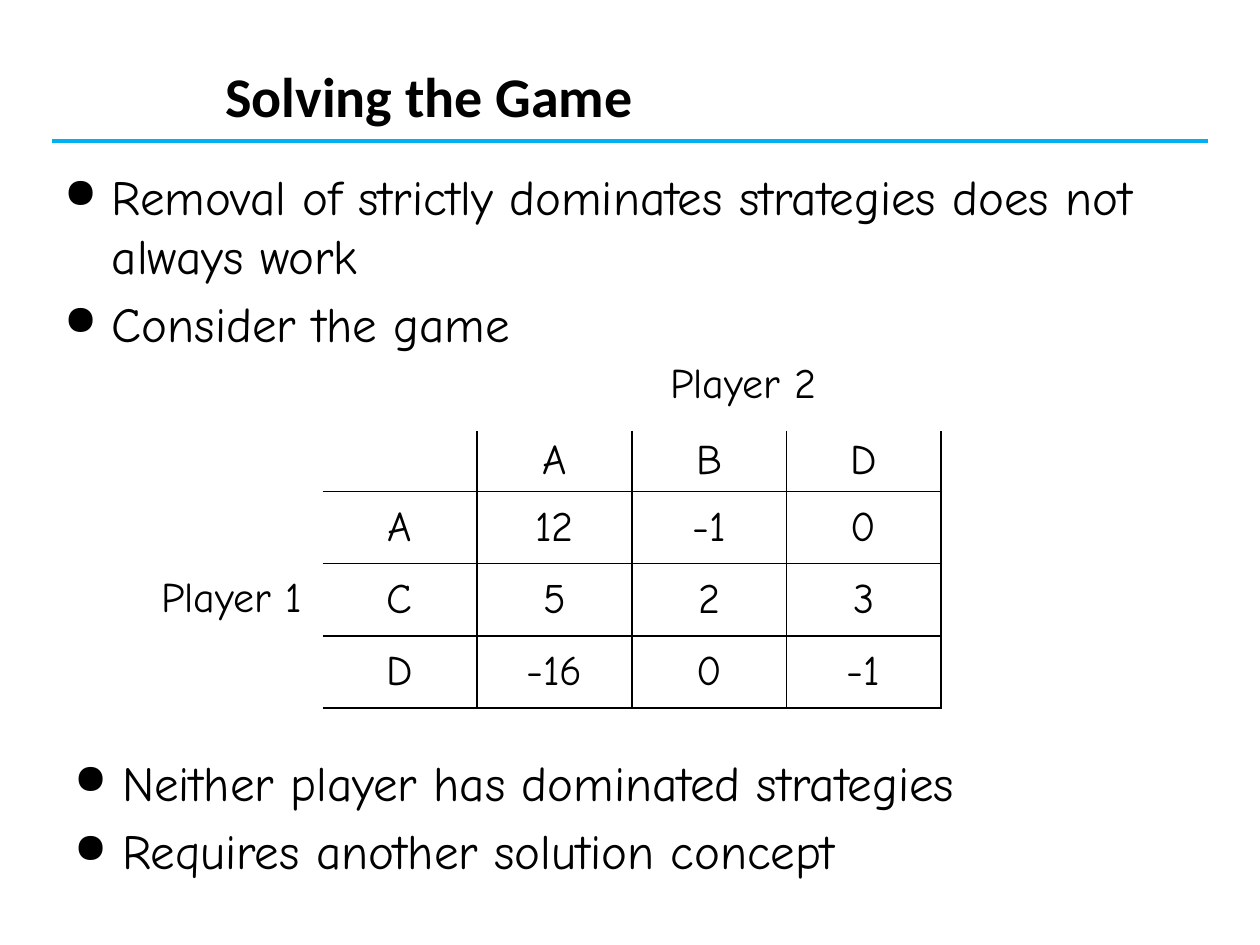
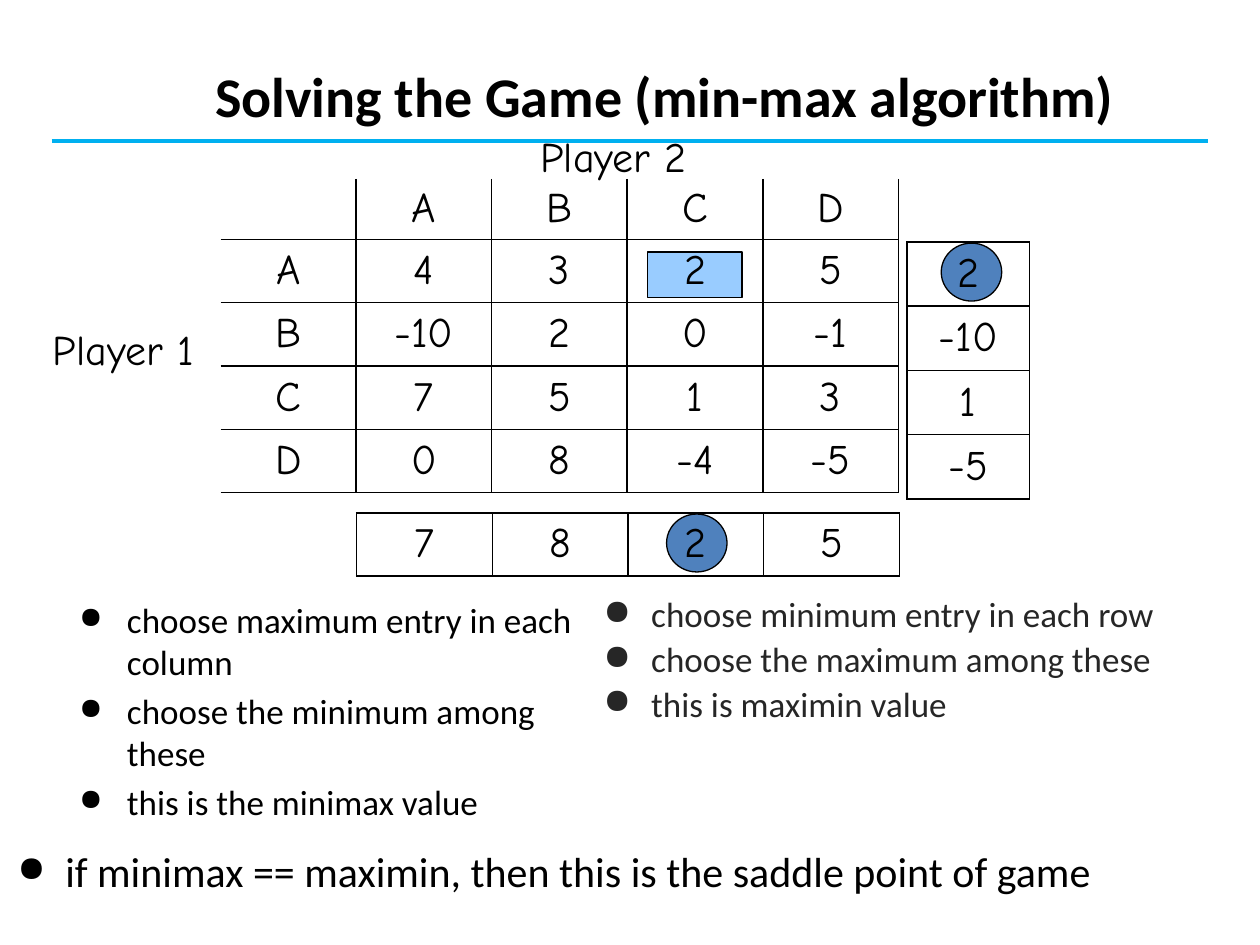
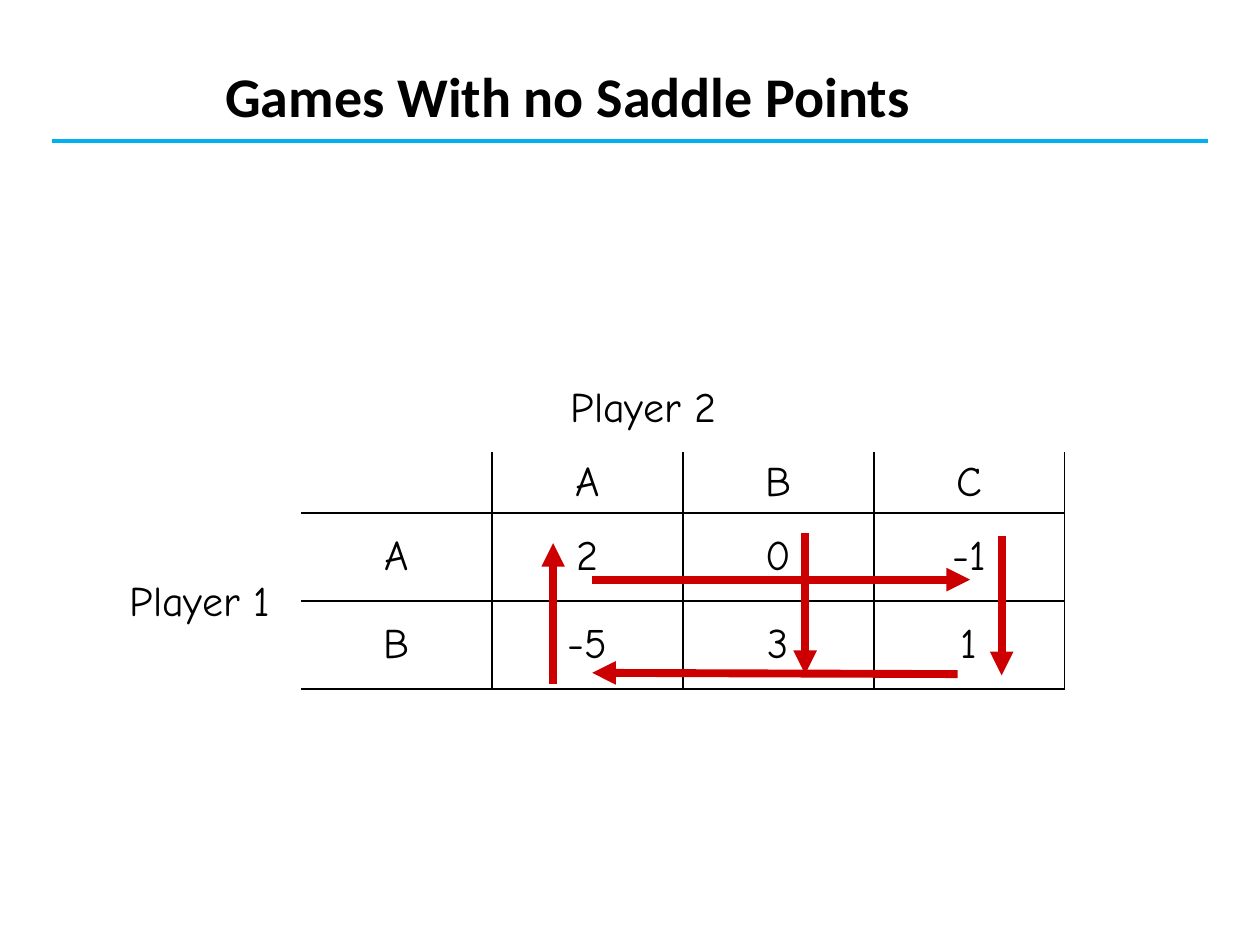
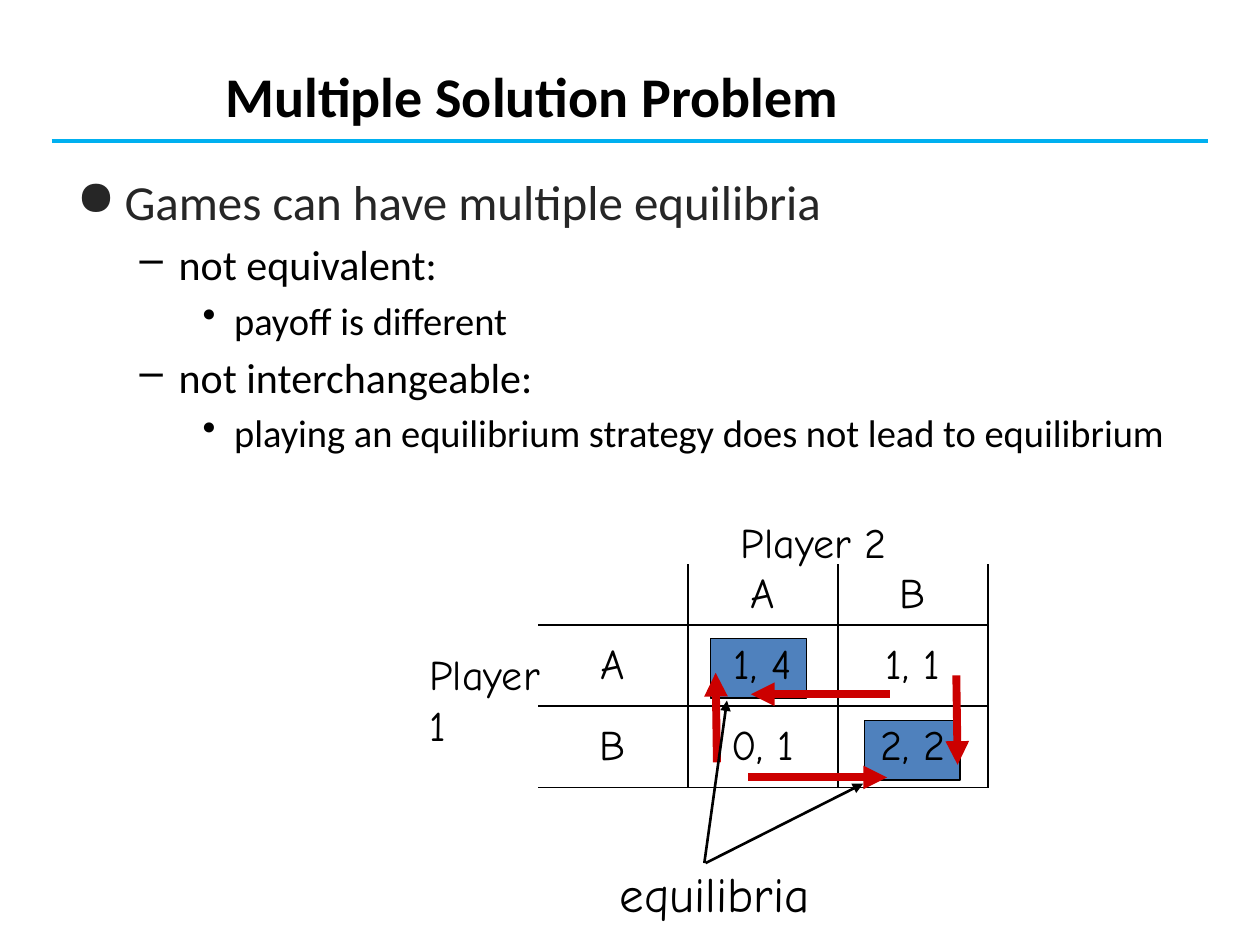
from dataclasses import dataclass

from lxml.etree import SubElement as Sub
from pptx import Presentation
from pptx.dml.color import RGBColor as Rgb
from pptx.enum.shapes import MSO_CONNECTOR as Link, MSO_SHAPE as Form
from pptx.enum.text import MSO_ANCHOR as Anchor, MSO_AUTO_SIZE as Fit, PP_ALIGN as Align
from pptx.oxml.ns import qn
from pptx.util import Inches, Pt


@dataclass(frozen=True)
class Theme:
    sans: str = "Calibri"
    hand: str = "Comic Neue"
    black: str = "000000"
    gray: str = "262626"
    rule: str = "00B0F0"
    red: str = "CC0000"
    blue: str = "4F81BD"
    pale: str = "99CCFF"
    title: int = 32
    body: int = 28
    mid: int = 24
    sub: int = 22
    small: int = 20


T = Theme()
# Bullet level: symbol, left margin, hang
LEVELS = [("●", 0.38, 0.38), ("–", 0.81, 0.31), ("•", 1.25, 0.25)]


# ---- Text ----
def style(para, size, face=T.hand, color=T.black, bold=False):
    font = para.font
    font.size, font.name, font.bold = Pt(size), face, bold
    font.color.rgb = Rgb.from_string(color)


def space(para):
    """Leave a fifth of a line above the paragraph."""
    props = para._p.get_or_add_pPr()
    Sub(Sub(props, qn("a:spcBef")), qn("a:spcPct"), val="20000")
    return props


def hang(para, level=0, mark=True, scale=100):
    sign, left, back = LEVELS[level]
    para.level = level
    props = space(para)
    props.set("marL", str(Inches(left)))
    props.set("indent", str(-Inches(back)))
    if mark:
        Sub(props, qn("a:buSzPct"), val=str(scale * 1000))
        Sub(props, qn("a:buChar"), char=sign)


def frame(slide, box, wrap=True):
    text = slide.shapes.add_textbox(*map(Inches, box)).text_frame
    text.word_wrap = wrap
    return text


def label(slide, box, words, wrap=False):
    text = frame(slide, box, wrap)
    text.auto_size = Fit.SHAPE_TO_FIT_TEXT
    para = text.paragraphs[0]
    para.text = words
    style(para, T.mid)


def points(slide, box, items, size, face=T.hand, color=T.black,
           scale=85, line=None, mark=True):
    """List of lines; an item may be (words, level, size, colour)."""
    text = frame(slide, box)
    for i, item in enumerate(items):
        if isinstance(item, str):
            item = item, 0, size, color
        words, level, pts, tint = item
        para = text.add_paragraph() if i else text.paragraphs[0]
        para.text = words
        hang(para, level, mark, scale)
        if line:
            para.line_spacing = line
        style(para, pts, face, tint)


# ---- Lines and marks ----
def stroke(slide, start, end, color, width, arrow=False):
    ends = map(Inches, (*start, *end))
    link = slide.shapes.add_connector(Link.STRAIGHT, *ends)
    link.line.color.rgb = Rgb.from_string(color)
    link.line.width = Pt(width)
    if arrow:
        Sub(link.line._get_or_add_ln(), qn("a:tailEnd"), type="triangle")
    Sub(link._element.spPr, qn("a:effectLst"))


def arrows(slide, box, pairs, color=T.red, width=4.5):
    x, y = box[:2]
    for (x1, y1), (x2, y2) in pairs:
        stroke(slide, (x + x1, y + y1), (x + x2, y + y2), color, width, True)


def mark(slide, box, spot, form=Form.RECTANGLE, fill=T.blue):
    x, y, w, h = spot
    place = map(Inches, (box[0] + x, box[1] + y, w, h))
    shape = slide.shapes.add_shape(form, *place)
    shape.shadow.inherit = False
    shape.fill.solid()
    shape.fill.fore_color.rgb = Rgb.from_string(fill)
    shape.line.color.rgb = Rgb.from_string(T.black)
    shape.line.width = Pt(0.75)


# ---- Tables ----
def edge(cell, side, shown):
    line = Sub(cell._tc.get_or_add_tcPr(), qn("a:ln" + side), w=str(Pt(1)))
    if shown:
        Sub(Sub(line, qn("a:solidFill")), qn("a:srgbClr"), val=T.black)
    else:
        Sub(line, qn("a:noFill"))


def grid(slide, box, rows, head=None):
    """Payoff table; with a head row, its top and left sides stay open."""
    tall, wide = len(rows), len(rows[0])
    table = slide.shapes.add_table(tall, wide, *map(Inches, box)).table
    table.first_row = table.horz_banding = False
    for col in table.columns:
        col.width = Inches(box[2] / wide)
    for r, row in enumerate(rows):
        rest = (box[3] - head) / (tall - 1) if head else box[3] / tall
        table.rows[r].height = Inches(head if head and not r else rest)
        for c, words in enumerate(row):
            cell = table.cell(r, c)
            shown = {"L": c or not head, "R": True, "T": r or not head, "B": True}
            for side, on in shown.items():
                edge(cell, side, on)
            cell.fill.background()
            cell.vertical_anchor = Anchor.MIDDLE
            cell.margin_top = cell.margin_bottom = Inches(0.03)
            para = cell.text_frame.paragraphs[0]
            para.text = words
            para.alignment = Align.CENTER
            space(para)
            style(para, T.mid)


def game(slide, box, cols, rows, left, top, wrap=False):
    """Payoff grid with a player label beside it and one above it."""
    x, y = box[:2]
    cells = [["", *cols]] + [[name, *vals] for name, vals in rows.items()]
    grid(slide, box, cells, head=0.48)
    size = (1.24, 0.91) if wrap else (1.4, 0.5)
    label(slide, (x + left[0], y + left[1], *size), "Player 1", wrap)
    label(slide, (x + top[0], y + top[1], 1.45, 0.5), "Player 2")


# ---- Slides ----
def begin(deck, words, left=1.69):
    slide = deck.slides.add_slide(deck.slide_layouts[6])
    stroke(slide, (0.41, 1.12), (9.59, 1.12), T.rule, 2.25)
    para = frame(slide, (left, 0.44, 7.8, 0.59)).paragraphs[0]
    para.text = words
    style(para, T.title, T.sans, bold=True)
    return slide


def solving(deck):
    slide = begin(deck, "Solving the Game")
    game(slide, (2.56, 3.42, 4.91, 2.2), "ABD",
         {"A": ("12", "-1", "0"), "C": "523", "D": ("-16", "0", "-1")},
         left=(-1.38, 1.06), top=(2.66, -0.64))
    points(slide, (0.41, 1.27, 9.11, 1.73),
           ["Removal of strictly dominates strategies does not always work",
            "Consider the game"], T.body)
    points(slide, (0.49, 5.92, 9.11, 1.23),
           ["Neither player has dominated strategies",
            "Requires another solution concept"], T.body)


def minmax(deck):
    slide = begin(deck, "Solving the Game (min-max algorithm)", 1.61)
    box = 1.75, 1.42, 5.38, 2.49
    # Marks lie behind the tables
    mark(slide, box, (3.39, 0.58, 0.75, 0.36), fill=T.pale)
    for x, y in ((3.54, 2.66), (5.72, 0.51)):
        mark(slide, box, (x, y, 0.48, 0.46), Form.OVAL)
    # Row minima, game, column maxima
    grid(slide, (7.2, 1.92, 0.97, 2.04), [["2"], ["-10"], ["1"], ["-5"]])
    game(slide, box, "ABCD",
         {"A": "4325", "B": ("-10", "2", "0", "-1"),
          "C": "7513", "D": ("0", "8", "-4", "-5")},
         left=(-1.43, 1.1), top=(2.44, -0.43))
    grid(slide, (2.83, 4.07, 4.31, 0.5), ["7825"])
    # Steps
    points(slide, (4.69, 4.69, 4.88, 1.81),
           ["choose minimum entry in each row",
            "choose the maximum among these",
            "this is maximin value"], T.small, T.sans, T.gray, 100, 0.9)
    points(slide, (0.53, 4.7, 4.17, 1.82),
           ["choose maximum entry in each column",
            "choose the minimum among these",
            "this is the minimax value"], T.small, T.sans)
    points(slide, (0.04, 6.66, 9.9, 0.5),
           ["if minimax == maximin, then this is the saddle point of game"],
           T.mid, T.sans)


def nosaddle(deck):
    slide = begin(deck, "Games With no Saddle Points")
    box = 2.39, 3.59, 6.06, 1.88
    game(slide, box, "ABC", {"A": ("2", "0", "-1"), "B": ("-5", "3", "1")},
         left=(-1.46, 0.92), top=(2.04, -0.62))
    arrows(slide, box, [((2.31, 1.01), (5.31, 1.01)),
                        ((5.56, 0.66), (5.56, 1.77)),
                        ((5.21, 1.76), (2.31, 1.75)),
                        ((2, 1.84), (2, 0.72)),
                        ((4, 0.64), (4, 1.76))])


def multiple(deck):
    slide = begin(deck, "Multiple Solution Problem")
    box = 4.27, 4.48, 3.57, 1.77
    for x, y in ((1.37, 0.59), (2.59, 1.24)):
        mark(slide, box, (x, y, 0.76, 0.47))
    points(slide, (0.51, 1.31, 8.95, 5.72),
           ["Games can have multiple equilibria",
            ("not equivalent:", 1, T.mid, T.black),
            ("payoff is different", 2, T.sub, T.black),
            ("not interchangeable:", 1, T.mid, T.black),
            ("playing an equilibrium strategy does not lead to equilibrium",
             2, T.sub, T.black)],
           T.body, T.sans, T.gray, 100)
    game(slide, box, "AB", {"A": ("1, 4", "1, 1"), "B": ("0, 1", "2, 2")},
         left=(-0.96, 0.62), top=(1.51, -0.43), wrap=True)
    arrows(slide, box, [((2.79, 1.03), (1.69, 1.03)),
                        ((3.32, 0.88), (3.33, 1.59)),
                        ((1.67, 1.69), (2.77, 1.69)),
                        ((1.42, 1.57), (1.41, 0.86))])
    # Pointers to the equilibria
    points(slide, (4.82, 6.8, 2.52, 0.65), ["equilibria"], T.body, mark=False)
    arrows(slide, box, [((1.32, 2.37), (1.5, 1.08)),
                        ((1.33, 2.37), (2.58, 1.74))], T.black, 1.5)


def main():
    deck = Presentation()
    deck.slide_width, deck.slide_height = Inches(10), Inches(7.5)
    for build in (solving, minmax, nosaddle, multiple):
        build(deck)
    deck.save("out.pptx")


if __name__ == "__main__":
    main()
